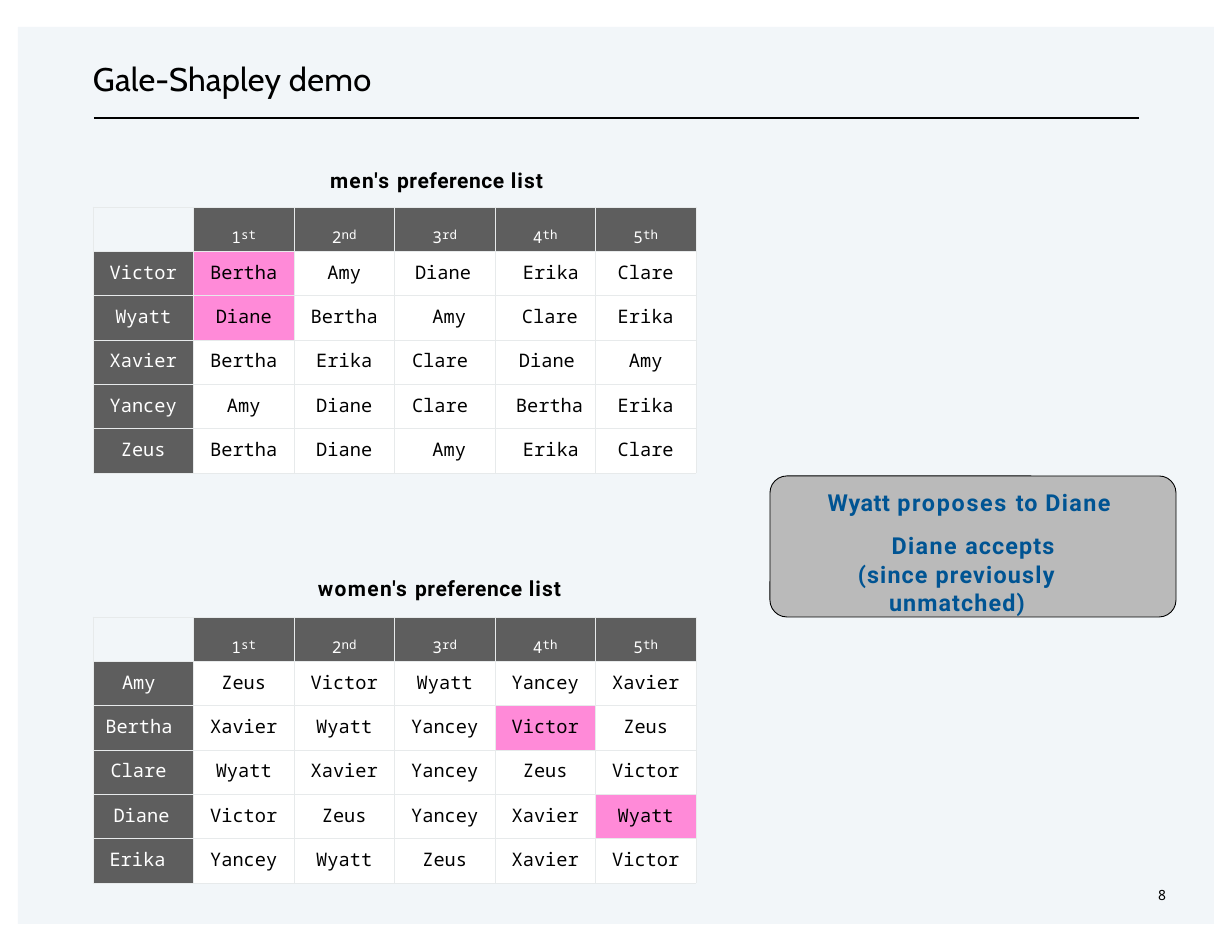
from dataclasses import dataclass

from lxml import etree
from pptx import Presentation
from pptx.dml.color import RGBColor
from pptx.enum.shapes import MSO_CONNECTOR, MSO_SHAPE
from pptx.enum.text import PP_ALIGN
from pptx.oxml.ns import qn
from pptx.util import Emu, Pt

RECT, ROUNDED = MSO_SHAPE.RECTANGLE, MSO_SHAPE.ROUNDED_RECTANGLE
STRAIGHT = MSO_CONNECTOR.STRAIGHT
LEFT, CENTER, RIGHT = PP_ALIGN.LEFT, PP_ALIGN.CENTER, PP_ALIGN.RIGHT
EMU_PER_PX = 914400 / 112


@dataclass(frozen=True)
class Theme:
    ink: str = "000000"
    blue: str = "005493"
    paper: str = "F2F6F9"
    white: str = "FFFFFF"
    dark: str = "5E5E5E"
    pink: str = "FF8AD8"
    grey: str = "BABABA"
    grid: str = "E7EAEB"
    title_font: str = "Cabin"
    bold_font: str = "Roboto"
    mono_font: str = "Noto Sans Mono"
    title: float = 21
    callout: float = 15
    heading: float = 13.5
    name: float = 12
    rank: float = 18
    suffix: float = 8
    page: float = 9


T = Theme()

RANKS = [("1", "st"), ("2", "nd"), ("3", "rd"), ("4", "th"), ("5", "th")]
MEN = """
Victor Bertha Amy Diane Erika Clare
Wyatt Diane Bertha Amy Clare Erika
Xavier Bertha Erika Clare Diane Amy
Yancey Amy Diane Clare Bertha Erika
Zeus Bertha Diane Amy Erika Clare
"""
WOMEN = """
Amy Zeus Victor Wyatt Yancey Xavier
Bertha Xavier Wyatt Yancey Victor Zeus
Clare Wyatt Xavier Yancey Zeus Victor
Diane Victor Zeus Yancey Xavier Wyatt
Erika Yancey Wyatt Zeus Xavier Victor
"""
# Distance of a name from the cell side that its column is aligned to
INSETS = {"Amy": 29, "Bertha": 21, "Clare": 27, "Diane": 24, "Erika": 28}


def px(n):
    return Emu(round(n * EMU_PER_PX))


def rgb(color):
    return RGBColor.from_string(color)


def write(p, runs, size=T.name, color=T.ink, font=T.mono_font, bold=False,
          align=LEFT, before=0, line=None, left=0, right=0):
    """Fill a paragraph; runs is a string or a list of (text, size, spacing, baseline)."""
    p.alignment, p.space_before = align, Pt(before)
    if line:
        p.line_spacing = line
    pPr = p._p.get_or_add_pPr()
    pPr.set("marL", str(px(left)))
    pPr.set("marR", str(px(right)))
    for text, run_size, spacing, baseline in [(runs, size, 0, 0)] if isinstance(runs, str) else runs:
        r = p.add_run()
        r.text = text
        f = r.font
        f.size, f.name, f.bold = Pt(run_size), font, bold
        f.color.rgb = rgb(color)
        rPr = r._r.get_or_add_rPr()
        if spacing:
            rPr.set("spc", str(round(spacing * 100)))
        if baseline:
            rPr.set("baseline", str(baseline * 1000))


def spaced(size, *parts):
    return [(text, size, spacing, 0) for text, spacing in parts]


def text_frame(slide, box, wrap=False):
    tf = slide.shapes.add_textbox(*map(px, box)).text_frame
    tf.word_wrap = wrap
    tf.margin_left = tf.margin_right = tf.margin_bottom = 0
    tf.margin_top = px(1)
    return tf


def panel(slide, kind, box, fill):
    s = slide.shapes.add_shape(kind, *map(px, box))
    s.shadow.inherit = False
    s.fill.solid()
    s.fill.fore_color.rgb = rgb(fill)
    s.line.fill.background()
    return s


def add_background(slide, box):
    s = panel(slide, RECT, box, T.blue)
    color = s._element.spPr.find(qn("a:solidFill"))[0]
    etree.SubElement(color, qn("a:alpha"), val="5000")


def add_title(slide, box):
    x, y, w, h = box
    tf = text_frame(slide, (x, y, w, 43))
    write(tf.paragraphs[0], spaced(T.title, ("Gale-Shapley ", 0.1), ("demo", 0.2)),
          font=T.title_font, before=1, left=1)
    rule = slide.shapes.add_connector(STRAIGHT, px(x + 2), px(y + h), px(x + w), px(y + h))
    rule.line.color.rgb = rgb(T.ink)
    rule.line.width = Pt(0.75)
    etree.SubElement(rule._element.spPr, qn("a:effectLst"))


def style_cell(cell, fill, top):
    cell.margin_left = cell.margin_right = cell.margin_bottom = 0
    cell.margin_top = px(top)
    cell.fill.solid()
    cell.fill.fore_color.rgb = rgb(fill)
    tcPr = cell._tc.get_or_add_tcPr()
    for i, side in enumerate("LRTB"):
        ln = etree.Element(qn(f"a:ln{side}"), w=str(Pt(0.25)))
        solid = etree.SubElement(ln, qn("a:solidFill"))
        etree.SubElement(solid, qn("a:srgbClr"), val=T.grid)
        tcPr.insert(i, ln)


def add_preferences(slide, box, whose, heading_at, names, matched, sides):
    """Heading and grid; matched holds (row, column) cells, sides the off-centre columns."""
    x, y, w, h = box
    dx, dy, heading_w = heading_at
    tf = text_frame(slide, (x + dx, y + dy, heading_w, 28))
    write(tf.paragraphs[0],
          spaced(T.heading, (whose + " ", 0.9), ("preference ", 0.4), ("list", 0.7)),
          font=T.bold_font, bold=True, before=1, left=1)

    rows = [line.split() for line in names.strip().splitlines()]
    n_rows, n_cols = len(rows) + 1, len(rows[0])
    table = slide.shapes.add_table(n_rows, n_cols, *map(px, box)).table
    for column in table.columns:
        column.width = px(w / n_cols)
    for row in table.rows:
        row.height = px(h / n_rows)

    style_cell(table.cell(0, 0), T.paper, 0)
    for c, (number, suffix) in enumerate(RANKS, 1):
        cell = table.cell(0, c)
        style_cell(cell, T.dark, 3)
        write(cell.text_frame.paragraphs[0],
              [(number, T.rank, 0, -14), (suffix, T.suffix, 0, 0)],
              color=T.white, align=CENTER, before=2.1)
    for r, row in enumerate(rows, 1):
        for c, name in enumerate(row):
            cell = table.cell(r, c)
            fill = T.dark if c == 0 else T.pink if (r, c) in matched else T.white
            style_cell(cell, fill, 8)
            side = sides.get((r, c), sides.get(c, CENTER)) if name in INSETS else CENTER
            inset = INSETS.get(name, 0)
            write(cell.text_frame.paragraphs[0], name,
                  color=T.white if c == 0 else T.ink, align=side, before=5.3,
                  left=inset if side == LEFT else 0,
                  right=inset if side == RIGHT else 0)


def add_callout(slide, box):
    x, y, w, h = box
    s = panel(slide, ROUNDED, box, T.grey)
    s.adjustments[0] = 0.12
    s.line.color.rgb = rgb(T.ink)
    s.line.width = Pt(0.56)
    tf = text_frame(slide, (x + 23, y - 4, w - 48, h - 22), wrap=True)
    lines = [
        ([("Wyatt ", 0.4), ("proposes ", 1.1), ("to ", 0.6), ("Diane", 0.9)],
         dict(before=1, line=1.54, right=6)),
        ([("Diane ", 0.9), ("accepts", 0.7)], dict(line=1.54, left=2)),
        ([("(since ", 0.7), ("previously ", 0.8), ("unmatched)", 0.7)],
         dict(before=0.8, left=20, right=50)),
    ]
    for i, (parts, layout) in enumerate(lines):
        p = tf.add_paragraph() if i else tf.paragraphs[0]
        write(p, spaced(T.callout, *parts), color=T.blue, font=T.bold_font,
              bold=True, align=CENTER, **layout)


def add_page_number(slide, box, number):
    p = text_frame(slide, box).paragraphs[0]
    write(p, str(number), size=T.page, before=0.4, left=4)


def main():
    prs = Presentation()
    prs.slide_width, prs.slide_height = px(1232), px(952)
    slide = prs.slides.add_slide(prs.slide_layouts[6])
    add_background(slide, (18, 27, 1196, 897))
    add_title(slide, (92, 58, 1047, 60))
    add_preferences(slide, (93, 207, 603, 266), "men's", (236, -40, 231), MEN,
                    {(1, 1), (2, 1)}, {3: RIGHT, 4: LEFT})
    add_preferences(slide, (93, 617, 603, 266), "women's", (224, -43, 262), WOMEN,
                    {(2, 4), (4, 5)}, {0: RIGHT, (1, 0): LEFT})
    add_callout(slide, (770, 476, 406, 141))
    add_page_number(slide, (1154, 886, 27, 20), 8)
    prs.save("out.pptx")


if __name__ == "__main__":
    main()
